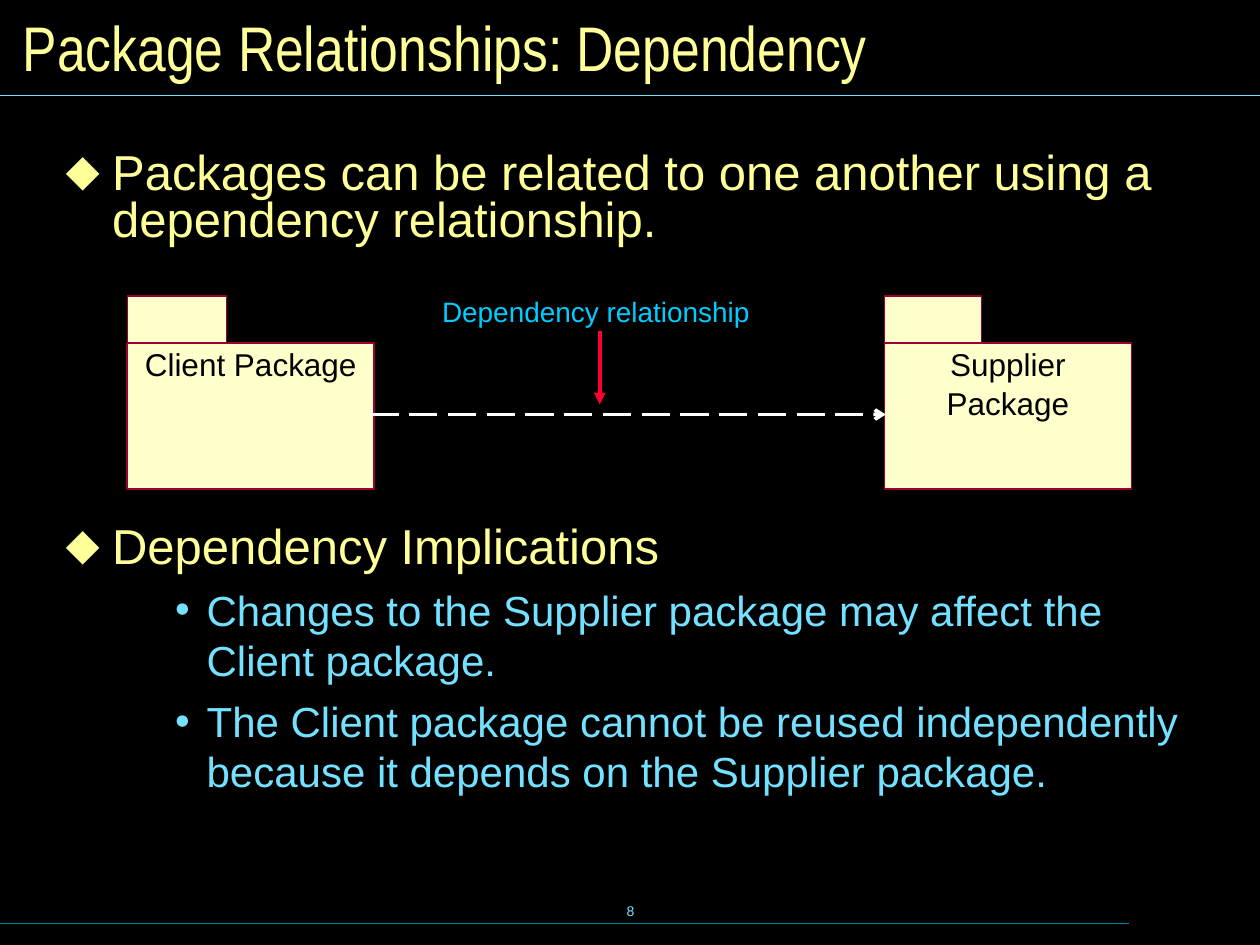
import dataclasses
import typing

import pptx
import pptx.dml.color
import pptx.enum.dml
import pptx.enum.shapes
import pptx.enum.text
import pptx.oxml
import pptx.oxml.ns
import pptx.util

Inches = pptx.util.Inches
Pt = pptx.util.Pt
ALIGN = pptx.enum.text.PP_ALIGN
ANCHOR = pptx.enum.text.MSO_ANCHOR
DASH = pptx.enum.dml.MSO_LINE


@dataclasses.dataclass(frozen=True)
class Theme:
    back: str = "000000"
    gold: str = "FFFF99"
    sky: str = "73E1FF"
    teal: str = "007E9F"
    cream: str = "FFFFCC"
    wine: str = "990033"
    ink: str = "000000"
    white: str = "FFFFFF"
    cyan: str = "00CCFF"
    red: str = "FF0033"
    font: str = "Arial"
    slim: str = "Arial Narrow"
    title: int = 36
    lead: int = 28
    point: int = 24
    name: int = 18
    note: int = 16
    page: int = 8


THEME = Theme()


@dataclasses.dataclass(frozen=True)
class Item:
    text: str
    level: int
    before: float


@dataclasses.dataclass(frozen=True)
class Style:
    mark: str
    color: str
    size: int
    indent: float
    hang: float
    pitch: float


@dataclasses.dataclass(frozen=True)
class Package:
    left: float
    tab: float
    names: tuple[str, ...]


@dataclasses.dataclass(frozen=True)
class Line:
    start: tuple[float, float]
    end: tuple[float, float]
    color: str
    width: float
    head: str = ""
    dash: typing.Any = None


STYLES = (
    Style("⬥", THEME.gold, THEME.lead, 0.37, 0.37, 0.8),
    Style("•", THEME.sky, THEME.point, 1.12, 0.25, 1.0),
)
ITEMS = (
    Item("Packages can be related to one another using a dependency relationship.", 0, 0),
    Item("Dependency Implications", 0, 160),
    Item("Changes to the Supplier package may affect the Client package.", 1, 6),
    Item("The Client package cannot be reused independently because it depends "
         "on the Supplier package.", 1, 6),
)
PACKAGES = (
    Package(1.01, 0.79, ("Client Package",)),
    Package(7.02, 0.77, ("Supplier", "Package")),
)
RULES = (
    Line((0, 7.33), (8.96, 7.33), THEME.teal, 0.75),
    Line((0, 0.76), (10, 0.76), THEME.sky, 0.75),
)
ARROWS = (
    Line((2.94, 3.29), (7.03, 3.29), THEME.white, 2, "arrow", DASH.LONG_DASH),
    Line((4.76, 2.63), (4.76, 3.21), THEME.red, 2.25, "triangle"),
)


def rgb(code: str) -> pptx.dml.color.RGBColor:
    return pptx.dml.color.RGBColor.from_string(code)


def child(parent, tag: str, **attrs: str):
    node = pptx.oxml.parse_xml(f"<{tag} {pptx.oxml.ns.nsdecls('a')}/>")
    for key, value in attrs.items():
        node.set(key, value)
    parent.append(node)
    return node


def place(shape, left: float, top: float, width: float, height: float) -> None:
    shape.left, shape.top = Inches(left), Inches(top)
    shape.width, shape.height = Inches(width), Inches(height)


def frame(shape, side: float, edge: float, anchor=ANCHOR.TOP, wrap: bool = True):
    text = shape.text_frame
    text.auto_size = pptx.enum.text.MSO_AUTO_SIZE.NONE
    text.word_wrap = wrap
    text.vertical_anchor = anchor
    text.margin_left = text.margin_right = Inches(side)
    text.margin_top = text.margin_bottom = Inches(edge)
    return text


def write(para, text: str, size: int, color: str, font: str = THEME.font,
          align=ALIGN.LEFT) -> None:
    para.alignment = align
    run = para.add_run()
    run.text = text
    run.font.name = font
    run.font.size = Pt(size)
    run.font.color.rgb = rgb(color)


def bullet(para, style: Style) -> None:
    props = para._p.get_or_add_pPr()
    props.set("marL", str(Inches(style.indent)))
    props.set("indent", str(-Inches(style.hang)))
    child(child(props, "a:buClr"), "a:srgbClr", val=style.color)
    child(props, "a:buFont", typeface=THEME.font)
    child(props, "a:buChar", char=style.mark)


def fill_list(shape) -> None:
    text = frame(shape, 0.12, 0.06)
    for index, item in enumerate(ITEMS):
        style = STYLES[item.level]
        para = text.add_paragraph() if index else text.paragraphs[0]
        para.level = item.level
        bullet(para, style)
        para.line_spacing = style.pitch
        para.space_before = Pt(item.before)
        write(para, item.text, style.size, style.color)


def draw_line(shapes, line: Line) -> None:
    points = [Inches(value) for value in line.start + line.end]
    link = shapes.add_connector(pptx.enum.shapes.MSO_CONNECTOR.STRAIGHT, *points)
    link.line.color.rgb = rgb(line.color)
    link.line.width = Pt(line.width)
    if line.dash:
        link.line.dash_style = line.dash
    if line.head:
        child(link.line._get_or_add_ln(), "a:tailEnd", type=line.head)
    child(link._element.spPr, "a:effectLst")


def draw_box(shapes, area: tuple[float, ...], edge: str, width: float,
             fill: str = "") -> None:
    box = shapes.add_shape(pptx.enum.shapes.MSO_SHAPE.RECTANGLE,
                           *(Inches(value) for value in area))
    box.shadow.inherit = False
    if fill:
        box.fill.solid()
        box.fill.fore_color.rgb = rgb(fill)
    else:
        box.fill.background()
    box.line.color.rgb = rgb(edge)
    box.line.width = Pt(width)


def draw_package(shapes, pack: Package) -> None:
    group = shapes.add_group_shape().shapes
    tab = (pack.left, 2.35, pack.tab, 0.37)
    draw_box(group, (pack.left, 2.72, 1.96, 1.16), THEME.wine, 1, THEME.cream)
    draw_box(group, tab, THEME.ink, 1, THEME.cream)
    draw_box(group, tab, THEME.wine, 0)
    for row, name in enumerate(pack.names):
        wide = 0.12 * len(name)
        label = group.add_textbox(Inches(pack.left + 0.98 - wide / 2),
                                  Inches(2.74 + 0.31 * row), Inches(wide), Inches(0.3))
        text = frame(label, 0, 0, wrap=False)
        write(text.paragraphs[0], name, THEME.name, THEME.ink, align=ALIGN.CENTER)


def main() -> None:
    deck = pptx.Presentation()
    deck.slide_width, deck.slide_height = Inches(10), Inches(7.5)
    slide = deck.slides.add_slide(deck.slide_layouts[1])
    slide.background.fill.solid()
    slide.background.fill.fore_color.rgb = rgb(THEME.back)
    shapes = slide.shapes

    # Title and list
    title, body = slide.placeholders
    place(title, 0.08, 0.08, 9.84, 0.58)
    text = frame(title, 0.1, 0.05, ANCHOR.MIDDLE)
    write(text.paragraphs[0], "Package Relationships: Dependency",
          THEME.title, THEME.gold, THEME.slim)
    place(body, 0.4, 1.15, 9.29, 5.52)
    fill_list(body)

    # Rules and page number
    for rule in RULES:
        draw_line(shapes, rule)
    page = shapes.add_textbox(Inches(3.42), Inches(6.98), Inches(3.17), Inches(0.5))
    text = frame(page, 0.1, 0.05, ANCHOR.MIDDLE, wrap=False)
    write(text.paragraphs[0], "8", THEME.page, THEME.sky, align=ALIGN.CENTER)

    # Package diagram
    for pack in PACKAGES:
        draw_package(shapes, pack)
    note = shapes.add_textbox(Inches(3.41), Inches(2.29), Inches(2.75), Inches(0.37))
    text = frame(note, 0.1, 0.05)
    write(text.paragraphs[0], "Dependency relationship", THEME.note, THEME.cyan)
    for arrow in ARROWS:
        draw_line(shapes, arrow)

    deck.save("out.pptx")


if __name__ == "__main__":
    main()
